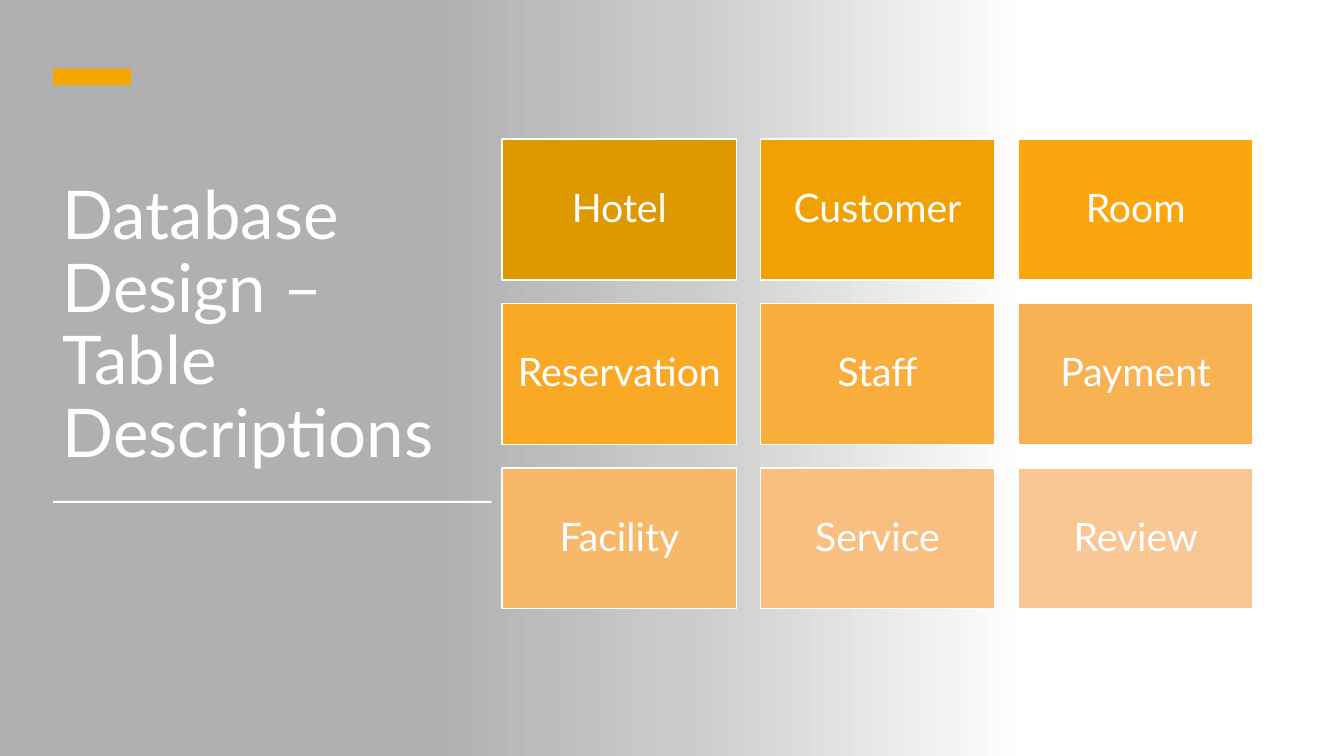
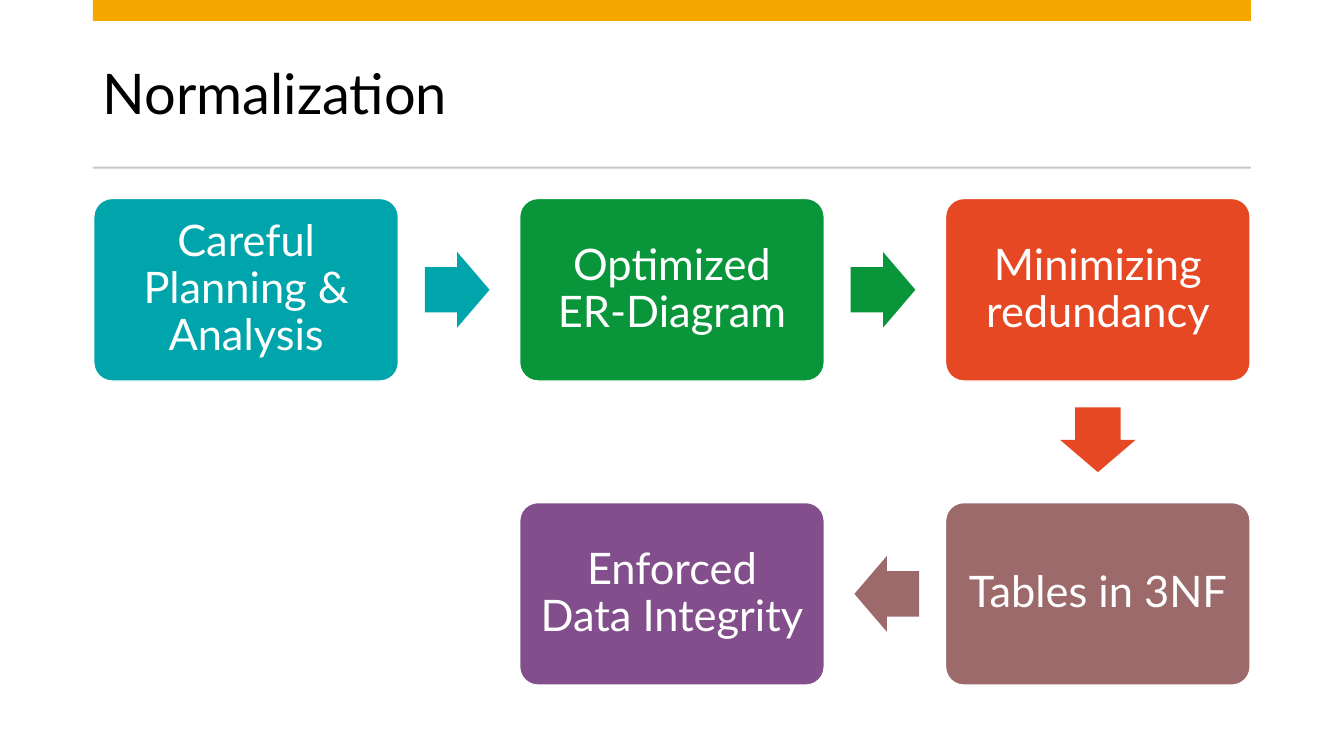
import math

from lxml import etree
from pptx import Presentation
from pptx.dml.color import RGBColor
from pptx.enum import shapes, text
from pptx.oxml import ns
from pptx.util import Pt

COLOURS = {
    "white": "FFFFFF", "black": "000000", "accent": "F5A700", "rule": "C9C9C9",
    "mist": "CCCCCC", "grey": "B0B0B0",
    "teal": "00A5AB", "green": "09963B", "red": "E64823",
    "brown": "9C6A6A", "purple": "824F8C",
}
TABLES = [
    ("Hotel", "DE9800"), ("Customer", "F2A102"), ("Room", "FBA60F"),
    ("Reservation", "FAA926"), ("Staff", "F9AD3D"), ("Payment", "F8B254"),
    ("Facility", "F8B86A"), ("Service", "F8BF80"), ("Review", "F8C795"),
]
# Text, colour, column, row
STEPS = [
    ("Careful Planning & Analysis", "teal", 0, 0),
    ("Optimized ER-Diagram", "green", 1, 0),
    ("Minimizing redundancy", "red", 2, 0),
    ("Tables in 3NF", "brown", 2, 1),
    ("Enforced Data Integrity", "purple", 1, 1),
]


def rgb(colour):
    return RGBColor.from_string(COLOURS.get(colour, colour))


def write(frame, words, size, colour="white", align=text.PP_ALIGN.LEFT,
          anchor=text.MSO_ANCHOR.MIDDLE, inset=None):
    frame.word_wrap = True
    frame.vertical_anchor = anchor
    if inset is not None:
        frame.margin_left = frame.margin_right = Pt(inset)
        frame.margin_top = frame.margin_bottom = Pt(inset)
    paragraph = frame.paragraphs[0]
    paragraph.alignment = align
    paragraph.line_spacing = 0.9
    run = paragraph.add_run()
    run.text = words
    run.font.name = "Lato"
    run.font.size = Pt(size)
    run.font.color.rgb = rgb(colour)


class Deck:
    def __init__(self):
        self.file = Presentation()
        self.file.slide_width, self.file.slide_height = Pt(960), Pt(540)
        self.slide = None

    def new_slide(self):
        self.slide = self.file.slides.add_slide(self.file.slide_layouts[6])

    def title(self, words, box, **style):
        frame = self.slide.shapes.add_textbox(*map(Pt, box)).text_frame
        write(frame, words, **style)

    def block(self, box, colour, kind=shapes.MSO_SHAPE.RECTANGLE, outline=None):
        block = self.slide.shapes.add_shape(kind, *map(Pt, box))
        block.shadow.inherit = False
        block.fill.solid()
        block.fill.fore_color.rgb = rgb(colour)
        if outline:
            block.line.color.rgb = rgb(outline)
            block.line.width = Pt(1)
        else:
            block.line.fill.background()
        return block

    def fade(self, box, stops):
        """Draw a left-to-right gradient from (percent, colour) stops."""
        panel = self.block(box, "white")
        panel.fill.gradient()
        panel.fill.gradient_angle = 0
        stop_list = panel._element.spPr.find(".//" + ns.qn("a:gsLst"))
        stop_list.clear()
        for percent, colour in stops:
            stop = etree.SubElement(stop_list, ns.qn("a:gs"), pos=str(percent * 1000))
            etree.SubElement(stop, ns.qn("a:srgbClr"), val=COLOURS[colour])

    def card(self, box, words, colour, size, inset, rounded=False):
        kind = shapes.MSO_SHAPE.ROUNDED_RECTANGLE if rounded else shapes.MSO_SHAPE.RECTANGLE
        card = self.block(box, colour, kind, outline="white")
        if rounded:
            card.adjustments[0] = 0.1
        write(card.text_frame, words, size, align=text.PP_ALIGN.CENTER, inset=inset)

    def arrow(self, centre_x, centre_y, angle, colour):
        width, height = 46.2, 54
        box = centre_x - width / 2, centre_y - height / 2, width, height
        arrow = self.block(box, colour, shapes.MSO_SHAPE.RIGHT_ARROW)
        arrow.adjustments[0], arrow.adjustments[1] = 0.6, 0.5
        arrow.rotation = angle


def table_descriptions(deck):
    deck.new_slide()
    deck.fade((0, 0, 735, 540),
              [(0, "grey"), (42, "grey"), (67, "mist"), (100, "white")])
    deck.title("Database Design – Table Descriptions", (37.5, 88.5, 317, 252),
               size=48, anchor=text.MSO_ANCHOR.BOTTOM)
    deck.block((38, 49, 55.5, 11.8), "accent")
    deck.block((38, 357.8, 313, 1.4), "white")
    width, height, gap = 167.6, 100.6, 16.8
    for index, (table, colour) in enumerate(TABLES):
        row, column = divmod(index, 3)
        box = (358.6 + column * (width + gap), 99.4 + row * (height + gap), width, height)
        deck.card(box, table, colour, size=28, inset=8.4)


def normalization(deck):
    deck.new_slide()
    left, span = 66.3, 827.3
    deck.title("Normalization", (left, 26.6, span, 85), size=40, colour="black")
    deck.block((left, 0, span, 15), "accent")
    deck.block((left, 119, span, 1.4), "rule")
    width, height, reach = 217.6, 130.4, 42
    for index, (step, colour, column, row) in enumerate(STEPS):
        x, y = 67 + column * 304.2, 141.8 + row * 217.2
        deck.card((x, y, width, height), step, colour, size=31, inset=9.2, rounded=True)
        if index + 1 < len(STEPS):
            next_column, next_row = STEPS[index + 1][2:]
            across, down = next_column - column, next_row - row
            deck.arrow(x + width / 2 + across * (width / 2 + reach),
                       y + height / 2 + down * (height / 2 + reach),
                       math.degrees(math.atan2(down, across)), colour)


def main():
    deck = Deck()
    table_descriptions(deck)
    normalization(deck)
    deck.file.save("out.pptx")


if __name__ == "__main__":
    main()
